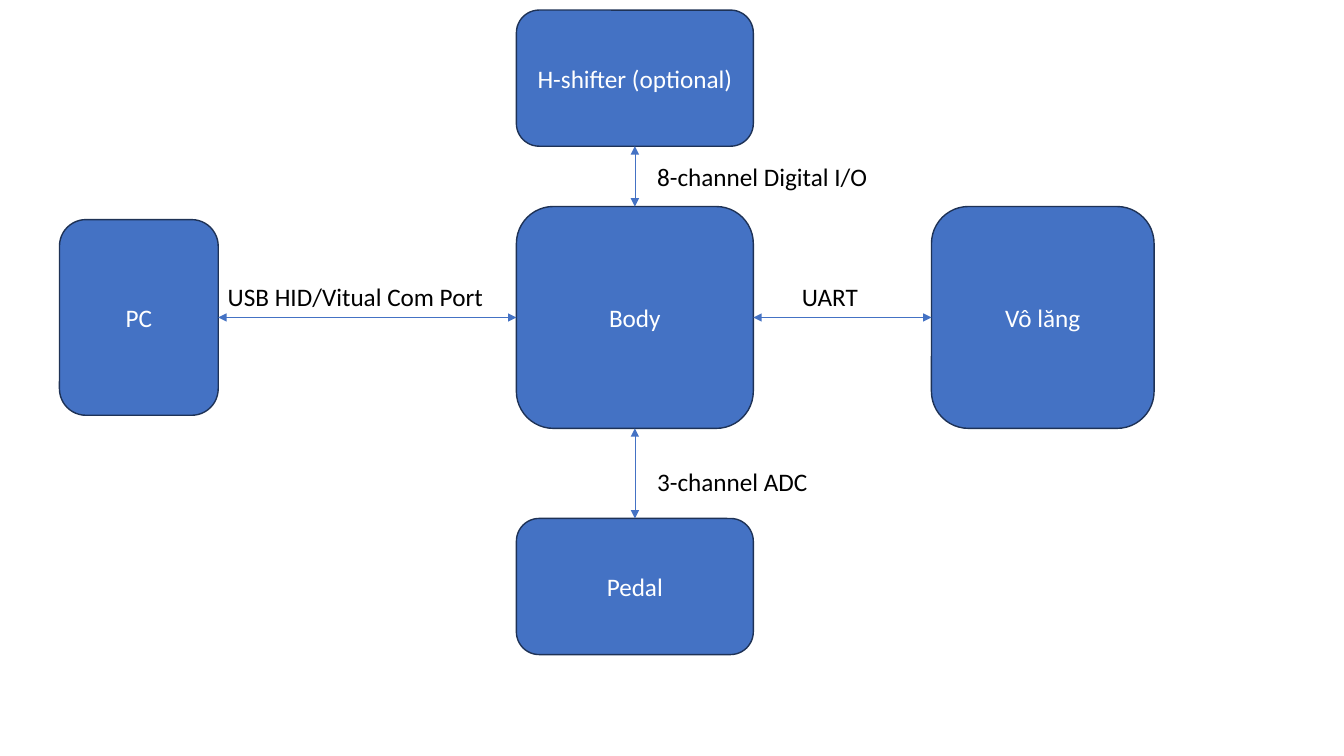
from lxml import etree
from pptx import Presentation
from pptx.dml.color import RGBColor
from pptx.enum import shapes, text
from pptx.oxml import ns
from pptx.util import Cm, Pt

HUES = {"fill": "4472C4", "edge": "1E3256", "light": "FFFFFF", "dark": "000000"}
FONT = {"name": "Calibri", "size": Pt(18)}
NODE = {"word_wrap": True, "vertical_anchor": text.MSO_ANCHOR.MIDDLE}
NOTE = {"word_wrap": True, "auto_size": text.MSO_AUTO_SIZE.SHAPE_TO_FIT_TEXT}

HUB = ("Body", 5.97, 5.59)
TOP, LEFT, BOTTOM, RIGHT = range(4)
SPOKES = [
    ("PC", -12.5, 0, 4, 4.93, LEFT),
    ("Vô lăng", 10.28, 0, 5.61, 5.59, RIGHT),
    ("H-shifter (optional)", 0, -6.03, 5.97, 3.43, TOP),
    ("Pedal", 0, 6.78, 5.97, 3.43, BOTTOM),
]
LABELS = [
    ("USB HID/Vitual Com Port", -10.51, -1.04, 7.87),
    ("UART", 3.96, -1.04, 7.87),
    ("8-channel Digital I/O", 0.31, -4.06, 10.67),
    ("3-channel ADC", 0.31, 3.63, 10.67),
]


def tint(hue):
    return RGBColor.from_string(HUES[hue])


def apply(item, style):
    for key, value in style.items():
        setattr(item, key, value)


def write(shape, words, hue, align, style):
    frame = shape.text_frame
    apply(frame, style)
    line = frame.paragraphs[0]
    line.alignment = align
    run = line.add_run()
    run.text = words
    apply(run.font, FONT)
    run.font.color.rgb = tint(hue)


def add_node(slide, words, mid_x, mid_y, wide, high):
    node = slide.shapes.add_shape(
        shapes.MSO_SHAPE.ROUNDED_RECTANGLE,
        Cm(mid_x - wide / 2), Cm(mid_y - high / 2), Cm(wide), Cm(high))
    node.shadow.inherit = False
    node.fill.solid()
    node.fill.fore_color.rgb = tint("fill")
    node.line.color.rgb = tint("edge")
    node.line.width = Pt(1)
    write(node, words, "light", text.PP_ALIGN.CENTER, NODE)
    return node


def add_link(slide, hub, node, side):
    link = slide.shapes.add_connector(shapes.MSO_CONNECTOR.STRAIGHT, 0, 0, 0, 0)
    link.begin_connect(hub, side)
    link.end_connect(node, (side + 2) % 4)
    link.line.color.rgb = tint("fill")
    link.line.width = Pt(0.5)
    props = link._element.spPr
    stroke = props.find(ns.qn("a:ln"))
    for end in ("a:headEnd", "a:tailEnd"):
        etree.SubElement(stroke, ns.qn(end), type="triangle")
    etree.SubElement(props, ns.qn("a:effectLst"))


def add_label(slide, words, left, top, wide):
    label = slide.shapes.add_textbox(Cm(left), Cm(top), Cm(wide), Cm(1.02))
    write(label, words, "dark", text.PP_ALIGN.LEFT, NOTE)


def add_diagram(slide, left, top):
    mid_x, mid_y = left + 14.5, top + 7.75
    name, wide, high = HUB
    hub = add_node(slide, name, mid_x, mid_y, wide, high)
    for name, dx, dy, wide, high, side in SPOKES:
        node = add_node(slide, name, mid_x + dx, mid_y + dy, wide, high)
        add_link(slide, hub, node, side)
    for words, dx, dy, wide in LABELS:
        add_label(slide, words, mid_x + dx, mid_y + dy, wide)


def main():
    deck = Presentation()
    deck.slide_width, deck.slide_height = Cm(33.87), Cm(19.05)
    slide = deck.slides.add_slide(deck.slide_layouts[6])
    add_diagram(slide, 1.5, 0.25)
    deck.save("out.pptx")


if __name__ == "__main__":
    main()
